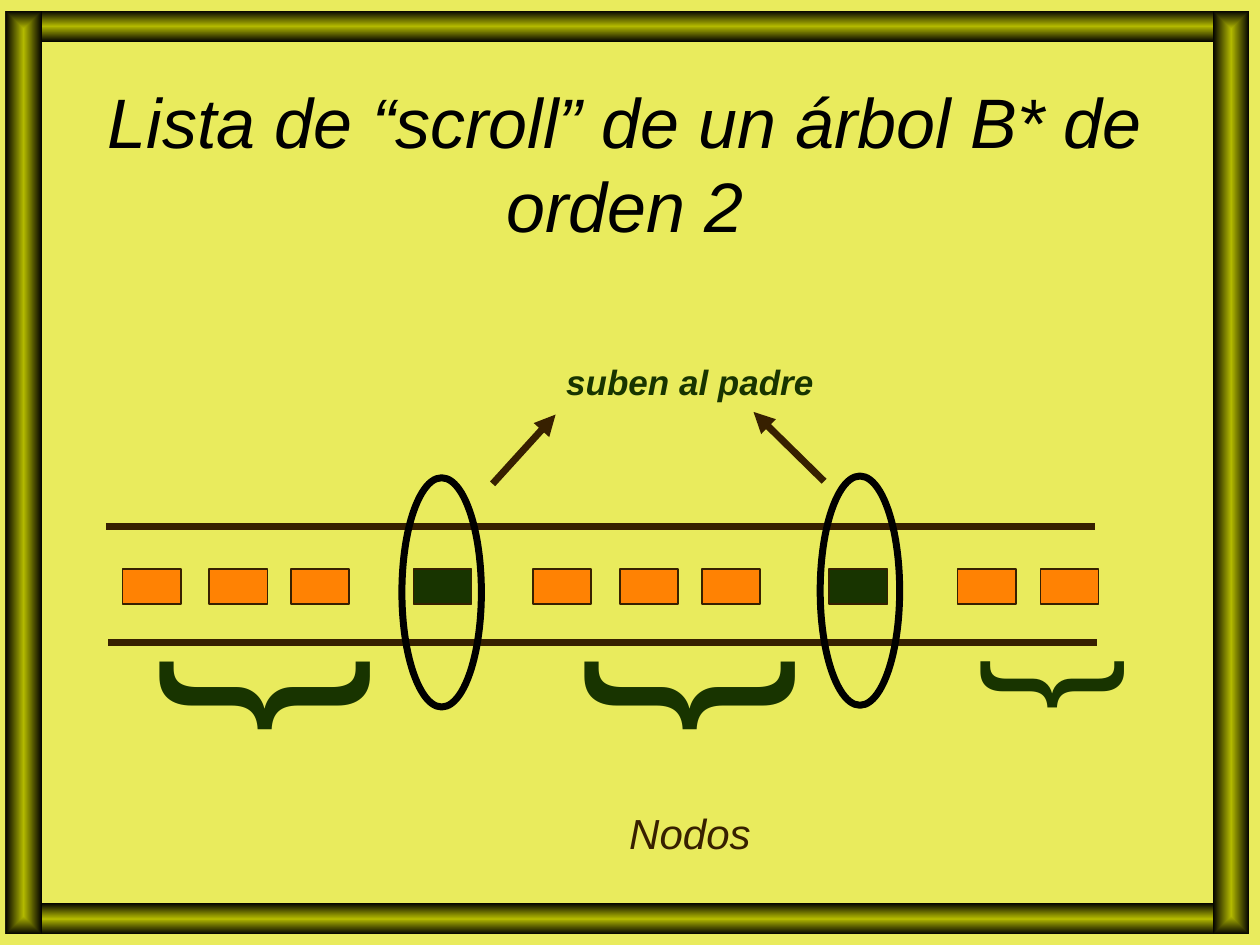
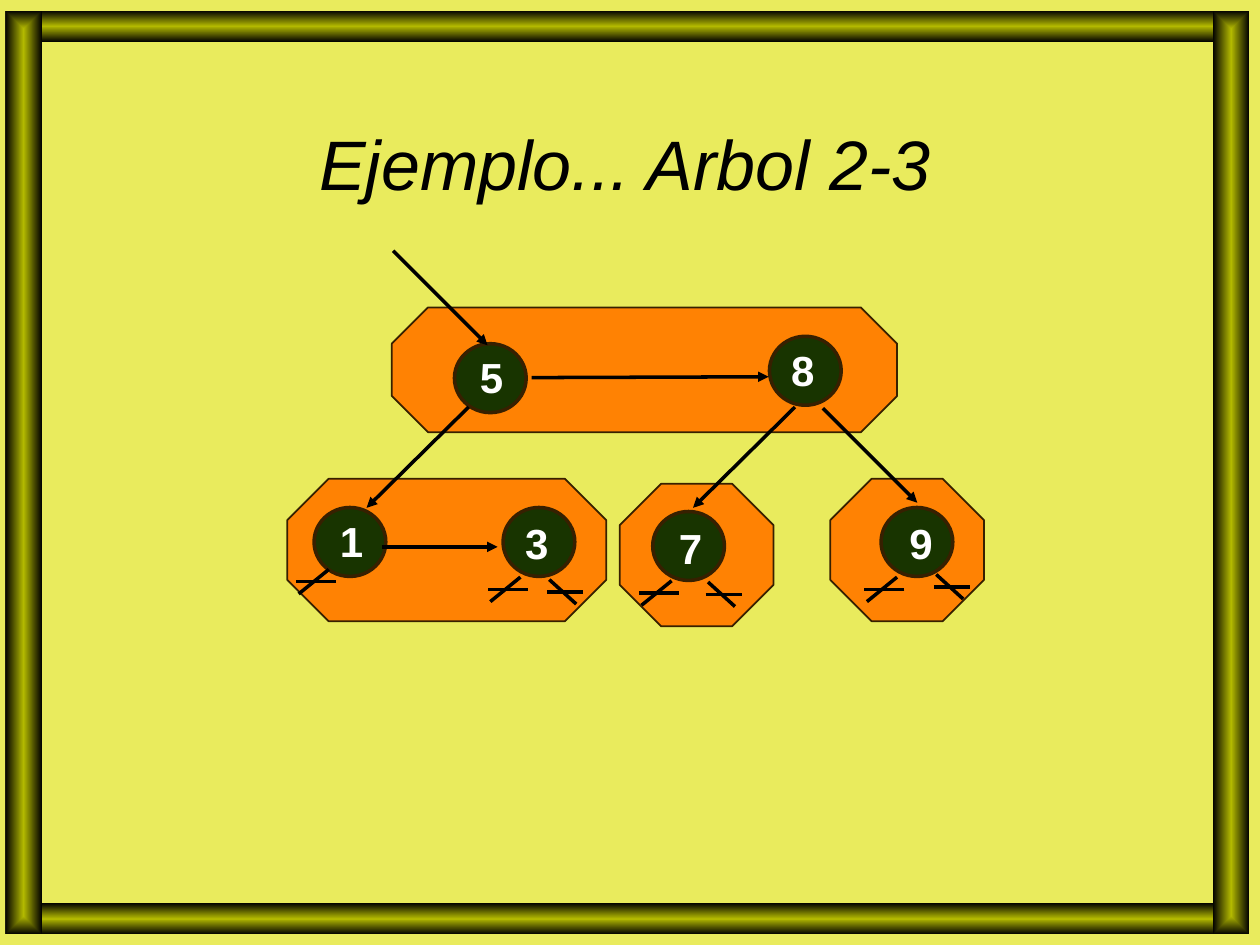
from dataclasses import dataclass

from lxml import etree
from pptx import Presentation
from pptx.dml.color import RGBColor
from pptx.enum import shapes, text
from pptx.oxml.ns import qn
from pptx.util import Pt

FONT = "Arial"
PAPER = "E9EB5D"
GOLD = "B3B900"
BLACK = "000000"
WHITE = "FFFFFF"
BROWN = "372000"
GREEN = "183400"
ORANGE = "FF8203"
KIND = shapes.MSO_SHAPE


@dataclass
class Box:
    left: float
    top: float
    width: float
    height: float

    def pts(self):
        return Pt(self.left), Pt(self.top), Pt(self.width), Pt(self.height)


@dataclass
class Line:
    x1: float
    y1: float
    x2: float
    y2: float
    head: bool = False


@dataclass
class Node:
    label: str
    x: float
    y: float
    text_x: float
    text_y: float


@dataclass
class Brace:
    box: Box
    size: float


BANDS = [
    Box(6, 6, 708, 18),
    Box(6, 516, 708, 18),
    Box(3, 6, 21, 528),
    Box(693, 6, 21, 528),
]
TITLE = Box(24, 48, 666, 90)

RAILS = [Line(60.5, 301, 626, 301), Line(62, 367.2, 627, 367.2)]
KEYS = [70, 119.5, 166.3, 304.6, 354.2, 401, 547.2, 594.5]
RISERS = [236.2, 473.8]
RINGS = [Box(229.7, 273, 45.4, 131), Box(468.7, 272, 45.4, 131)]
CLIMBS = [
    Line(281.5, 276.5, 317.5, 236.9, True),
    Line(470.9, 275, 430.6, 235.4, True),
]
BRACES = [
    Brace(Box(104.5, 316.3, 57.6, 162), 129),
    Brace(Box(347.3, 316.3, 57.6, 162), 129),
    Brace(Box(567, 334.8, 44, 112.3), 88),
]

PAGES = [
    Box(354.2, 276.5, 87.8, 81.4),
    Box(474.5, 273.6, 87.8, 81.4),
    Box(164.2, 273.6, 182.2, 81.4),
    Box(223.9, 175.7, 288.7, 71.3),
]
NODES = [
    Node("5", 259.7, 196.4, 267.1, 197.3),
    Node("8", 439.7, 192.2, 445, 193.5),
    Node("1", 179.5, 290, 187.2, 290.9),
    Node("3", 287.5, 290, 293, 292.3),
    Node("7", 373, 292.3, 380.9, 295.2),
    Node("9", 503.5, 290, 512.6, 292.3),
]
LINKS = [
    Line(267.8, 232.6, 209.5, 290.2, True),
    Line(454.3, 232.6, 396, 290.2, True),
    Line(470.2, 233.3, 524.2, 287.3, True),
    Line(303.8, 215.8, 439.2, 215.3, True),
    Line(218.2, 312.5, 284.4, 312.5, True),
    Line(224.6, 143.3, 278.6, 197.3, True),
]
LEFT_ENDS = [(187.9, 325.4), (297.4, 329.8), (383.8, 331.9), (512.6, 329.8)]
RIGHT_ENDS = [(313.9, 331.2), (404.6, 332.6), (535, 328.3)]


def hue(code: str) -> RGBColor:
    return RGBColor.from_string(code)


def write(frame, words: str, *, size: float, color: str, bold: bool = False,
          slant: bool = False, align=text.PP_ALIGN.LEFT) -> None:
    frame.text = words
    part = frame.paragraphs[0]
    part.alignment = align
    font = part.runs[0].font
    font.name, font.size = FONT, Pt(size)
    font.bold, font.italic = bold, slant
    font.color.rgb = hue(color)


def label(slide, box: Box, words: str, turn: float = 0, **style) -> None:
    shape = slide.shapes.add_textbox(*box.pts())
    shape.rotation = turn
    frame = shape.text_frame
    write(frame, words, **style)
    frame.word_wrap = False
    frame.auto_size = text.MSO_AUTO_SIZE.SHAPE_TO_FIT_TEXT


def draw(slide, kind, box: Box, fill: str = "", edge: str = "", width: float = 1):
    shape = slide.shapes.add_shape(kind, *box.pts())
    shape.shadow.inherit = False
    if fill:
        shape.fill.solid()
        shape.fill.fore_color.rgb = hue(fill)
    else:
        shape.fill.background()
    if edge:
        shape.line.color.rgb = hue(edge)
        shape.line.width = Pt(width)
    else:
        shape.line.fill.background()
    return shape


def stroke(slide, line: Line, color: str = BLACK, width: float = 2) -> None:
    ends = (Pt(v) for v in (line.x1, line.y1, line.x2, line.y2))
    link = slide.shapes.add_connector(shapes.MSO_CONNECTOR.STRAIGHT, *ends)
    link.line.color.rgb = hue(color)
    link.line.width = Pt(width)
    if line.head:
        pen = link.line._get_or_add_ln()
        etree.SubElement(pen, qn("a:tailEnd"), type="triangle")
    etree.SubElement(link._element.spPr, qn("a:effectLst"))


def band(slide, box: Box) -> None:
    shape = draw(slide, KIND.RECTANGLE, box)
    shape.fill.gradient()
    for stop, code in zip(shape.fill.gradient_stops, (GOLD, BLACK)):
        stop.color.rgb = hue(code)
    grad = shape._element.spPr.find(qn("a:gradFill"))
    grad.remove(grad.find(qn("a:lin")))
    glow = etree.SubElement(grad, qn("a:path"), {"path": "rect"})
    etree.SubElement(glow, qn("a:fillToRect"), dict.fromkeys("ltrb", "50000"))


def start(deck, words: str):
    slide = deck.slides.add_slide(deck.slide_layouts[5])
    slide.background.fill.solid()
    slide.background.fill.fore_color.rgb = hue(PAPER)
    for box in BANDS:
        band(slide, box)
    title = slide.shapes.title
    title.left, title.top, title.width, title.height = TITLE.pts()
    frame = title.text_frame
    write(frame, words, size=40, color=BLACK, slant=True,
          align=text.PP_ALIGN.CENTER)
    frame.word_wrap = True
    frame.auto_size = text.MSO_AUTO_SIZE.NONE
    frame.vertical_anchor = text.MSO_ANCHOR.MIDDLE
    return slide


def null(slide, x: float, y: float, side: int) -> None:
    reach = 17.2 if side < 0 else 15.4
    back, front = (4.2, 18.6) if side < 0 else (1.4, 19.4)
    stroke(slide, Line(x, y, x + side * reach, y + 14))
    stroke(slide, Line(x - side * back, y + 7, x + side * front, y + 7))


def scroll(deck) -> None:
    slide = start(deck, "Lista de “scroll” de un árbol B* de orden 2")
    for rail in RAILS:
        stroke(slide, rail, BROWN, 4)
    for spots, fill in ((KEYS, ORANGE), (RISERS, GREEN)):
        for x in spots:
            draw(slide, KIND.RECTANGLE, Box(x, 325.3, 33.3, 20), fill, BROWN)
    for ring in RINGS:
        draw(slide, KIND.OVAL, ring, edge=BLACK, width=4)
    for climb in CLIMBS:
        stroke(slide, climb, BROWN, 4)
    label(slide, Box(316.5, 202.3, 160, 31), "suben al padre",
          size=20, color=GREEN, bold=True, slant=True)
    for brace in BRACES:
        label(slide, brace.box, "{", turn=270, size=brace.size, color=GREEN)
    label(slide, Box(352.5, 458, 88, 36), "Nodos",
          size=24, color=BROWN, slant=True)


def tree(deck) -> None:
    slide = start(deck, "Ejemplo... Arbol 2-3")
    for page in PAGES:
        shape = draw(slide, KIND.OCTAGON, page, ORANGE, BROWN)
        shape.adjustments[0] = 0.29
    for node in NODES:
        draw(slide, KIND.OVAL, Box(node.x, node.y, 41, 39.4), GREEN, BROWN, 2)
    for link in LINKS:
        stroke(slide, link)
    for side, ends in ((-1, LEFT_ENDS), (1, RIGHT_ENDS)):
        for x, y in ends:
            null(slide, x, y, side)
    for node in NODES:
        label(slide, Box(node.text_x, node.text_y, 28, 36), node.label,
              size=24, color=WHITE, bold=True)


def main() -> None:
    deck = Presentation()
    deck.slide_width, deck.slide_height = Pt(720), Pt(540)
    scroll(deck)
    tree(deck)
    deck.save("out.pptx")


if __name__ == "__main__":
    main()
